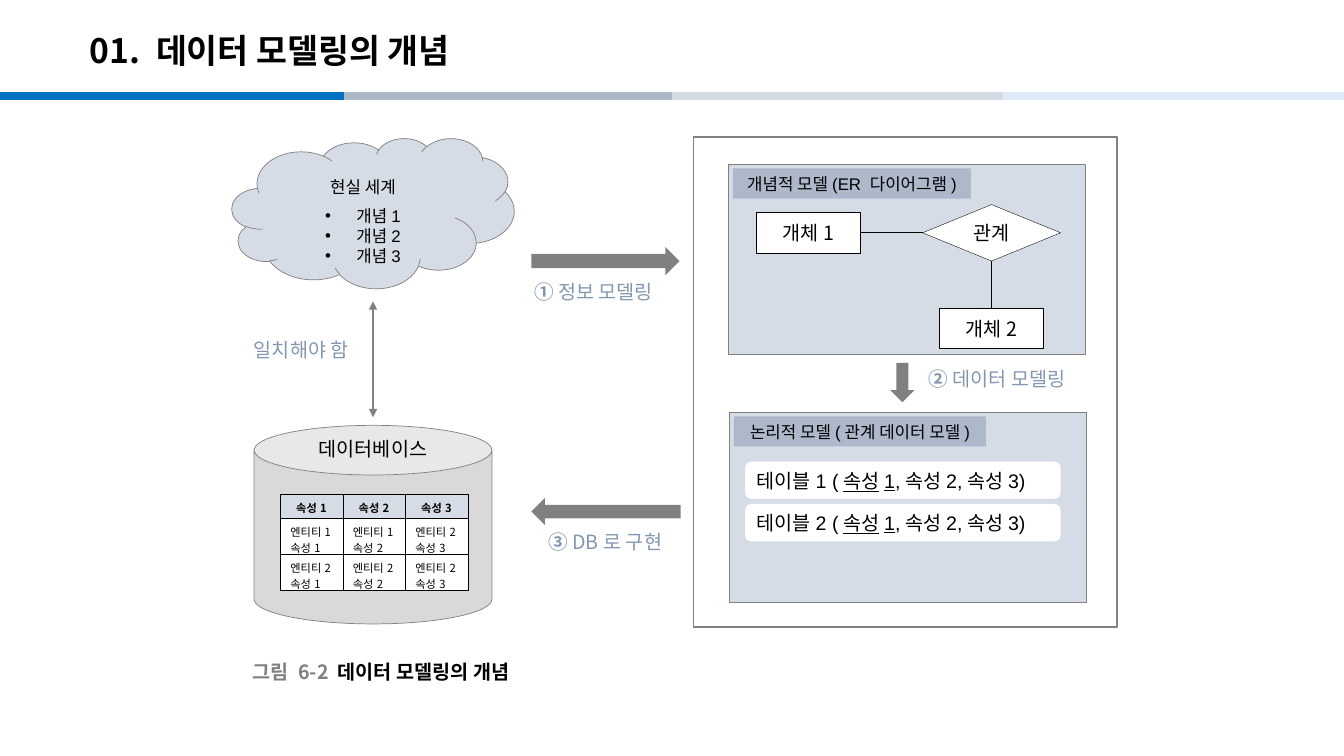
from collections import namedtuple

from lxml import etree
from pptx import Presentation
from pptx.dml.color import RGBColor
from pptx.enum.shapes import MSO_CONNECTOR as Link, MSO_SHAPE as Shape
from pptx.enum.text import MSO_ANCHOR as Anchor, MSO_AUTO_SIZE as Fit, PP_ALIGN as Align
from pptx.oxml import parse_xml
from pptx.oxml.ns import nsdecls, qn
from pptx.util import Inches, Pt

BLACK, WHITE = RGBColor(0, 0, 0), RGBColor(255, 255, 255)
GRAY, SILVER = RGBColor(0x80, 0x80, 0x80), RGBColor(0xD9, 0xD9, 0xD9)
BLUE, SLATE = RGBColor(0x00, 0x70, 0xC0), RGBColor(0x84, 0x97, 0xB0)
STEEL, MIST = RGBColor(0xAD, 0xB9, 0xCA), RGBColor(0xD6, 0xDC, 0xE5)
SKY = RGBColor(0xDE, 0xEB, 0xF7)
NOTO, ARIAL = "Noto Sans CJK KR", "Arial"

Box = namedtuple("Box", "left top width height")


def inside(box, left, top, width, height):
    """A box placed relative to the top left corner of another."""
    return Box(box.left + left, box.top + top, width, height)


def lengths(box):
    return [Inches(value) for value in box]


def add_span(para, text, color=BLACK, **formats):
    span = para.add_run()
    span.text = text
    values = {"name": NOTO, "size": Pt(14), "bold": False, **formats}
    for key, value in values.items():
        setattr(span.font, key, value)
    span.font.color.rgb = color
    east_asian = etree.SubElement(span.font._element, qn("a:ea"))
    east_asian.set("typeface", NOTO)


def write(frame, spans, align=Align.LEFT, **settings):
    """Fill a frame with one paragraph of (text, formats) spans."""
    for key, value in settings.items():
        setattr(frame, key, value)
    para = frame.paragraphs[0]
    para.alignment = align
    for text, formats in spans:
        add_span(para, text, **formats)


def add_label(page, box, spans, align=Align.LEFT, wrap=False, **settings):
    label = page.shapes.add_textbox(*lengths(box))
    values = {"word_wrap": wrap, "auto_size": Fit.SHAPE_TO_FIT_TEXT, **settings}
    write(label.text_frame, spans, align, **values)


def add_form(page, kind, box, fill, line=None, width=0.5):
    form = page.shapes.add_shape(kind, *lengths(box))
    form.shadow.inherit = False
    form.fill.solid()
    form.fill.fore_color.rgb = fill
    if line is None:
        form.line.fill.background()
    else:
        form.line.color.rgb = line
        form.line.width = Pt(width)
    return form


def add_line(page, start, end, color, width):
    line = page.shapes.add_connector(Link.STRAIGHT, *lengths(start + end))
    line.line.color.rgb = color
    line.line.width = Pt(width)
    etree.SubElement(line._element.spPr, qn("a:effectLst"))
    return line


def add_header(page, box):
    # Coloured rule
    for left, color in zip((0, 3.41, 6.67, 9.95), (BLUE, STEEL, MIST, SKY)):
        add_line(page, (left, box.height), (left + 3.41, box.height), color, 6)
    # Title
    title = page.shapes.title
    title.left, title.top, title.width, title.height = lengths(inside(box, 0.79, 0.22, 11.02, 0.6))
    write(title.text_frame, [("01. 데이터 모델링의 개념", {"size": Pt(24), "bold": True})],
          vertical_anchor=Anchor.MIDDLE)
    title.text_frame.paragraphs[0].line_spacing = 0.9


def add_real_world(page, box):
    cloud = add_form(page, Shape.CLOUD, box, MIST, GRAY)
    frame = cloud.text_frame
    small = {"name": ARIAL, "size": Pt(12)}
    write(frame, [("현실 세계", small)], Align.CENTER,
          vertical_anchor=Anchor.MIDDLE, margin_top=Inches(0.28))
    for number in (1, 2, 3):
        para = frame.add_paragraph()
        para.alignment = Align.CENTER
        para.space_before = Pt(6 if number == 1 else 0)
        properties = para._p.get_or_add_pPr()
        properties.set("marL", str(Inches(0.31)))
        properties.set("indent", str(-Inches(0.31)))
        etree.SubElement(properties, qn("a:buFont")).set("typeface", ARIAL)
        etree.SubElement(properties, qn("a:buChar")).set("char", "•")
        add_span(para, f"개념{number}", **small)


def fill_cell(cell, lines, fill, **formats):
    cell.fill.solid()
    cell.fill.fore_color.rgb = fill
    cell.margin_top, cell.margin_bottom = Inches(0.05), 0
    for index, text in enumerate(lines):
        para = cell.text_frame.paragraphs[0] if index == 0 else cell.text_frame.add_paragraph()
        para.alignment = Align.CENTER if formats.get("bold") else Align.LEFT
        add_span(para, text, size=Pt(8), **formats)
    # Borders come before the fill
    for index, side in enumerate(("lnL", "lnR", "lnT", "lnB")):
        cell._tc.get_or_add_tcPr().insert(index, parse_xml(
            f'<a:{side} {nsdecls("a")} w="{Pt(0.25)}"><a:solidFill>'
            f'<a:srgbClr val="{BLACK}"/></a:solidFill></a:{side}>'))


def add_database(page, box):
    add_form(page, Shape.CAN, box, SILVER, GRAY)
    add_label(page, inside(box, 0.49, 0.07, 1.38, 0.34), [("데이터베이스", {})], Align.CENTER)
    # Entity table
    table = page.shapes.add_table(3, 3, *lengths(inside(box, 0.26, 0.68, 1.86, 0.97))).table
    for column in table.columns:
        column.width = Inches(0.62)
    for row, height in zip(table.rows, (0.24, 0.36, 0.36)):
        row.height = Inches(height)
    entities = ((1, 1, 2), (2, 2, 2))
    for column in range(3):
        attribute = f"속성{column + 1}"
        fill_cell(table.cell(0, column), [attribute], MIST, bold=True)
        for row, numbers in enumerate(entities, 1):
            fill_cell(table.cell(row, column), [f"엔티티{numbers[column]}", attribute], WHITE)


def add_model_panel(page, box, heading, width):
    add_form(page, Shape.RECTANGLE, box, MIST, GRAY, 0.75)
    badge = add_form(page, Shape.RECTANGLE, inside(box, 0.04, 0.04, width, 0.3), STEEL)
    write(badge.text_frame, [(heading, {"name": ARIAL, "size": Pt(12)})], Align.CENTER,
          vertical_anchor=Anchor.MIDDLE, word_wrap=False)


def add_concept_model(page, box):
    add_model_panel(page, box, "개념적 모델(ER 다이어그램)", 2.36)
    nodes = []
    for kind, text, place in (
            (Shape.RECTANGLE, "개체1", (0.27, 0.48, 1.03, 0.4)),
            (Shape.FLOWCHART_DECISION, "관계", (1.92, 0.4, 1.37, 0.56)),
            (Shape.RECTANGLE, "개체2", (2.09, 1.43, 1.03, 0.4))):
        node = add_form(page, kind, inside(box, *place), WHITE, BLACK, 0.25)
        write(node.text_frame, [(text, {})], Align.CENTER,
              vertical_anchor=Anchor.MIDDLE, word_wrap=True)
        nodes.append(node)
    # Links from entity to relation to entity
    for start, start_side, end, end_side in ((0, 3, 1, 1), (1, 2, 2, 0)):
        link = add_line(page, (0, 0), (1, 1), BLACK, 0.5)
        link.begin_connect(nodes[start], start_side)
        link.end_connect(nodes[end], end_side)


def add_logical_model(page, box):
    add_model_panel(page, box, "논리적 모델(관계 데이터 모델)", 2.5)
    for index in range(2):
        row = add_form(page, Shape.ROUNDED_RECTANGLE,
                       inside(box, 0.15, 0.49 + 0.42 * index, 3.13, 0.37), WHITE)
        plain = {"name": ARIAL}
        write(row.text_frame, [(f"테이블{index + 1} (", plain),
                               ("속성1", {**plain, "underline": True}),
                               (",속성2,속성3)", plain)],
              vertical_anchor=Anchor.MIDDLE, word_wrap=True)


def add_step(page, kind, arrow_box, label_box, number, text, rotation=0):
    arrow = add_form(page, kind, arrow_box, GRAY)
    arrow.rotation = rotation
    add_label(page, label_box, [(f"{number} ", {"color": SLATE, "bold": True}),
                                (text, {"color": SLATE})])


def add_match_arrow(page, box):
    add_label(page, inside(box, 0, 0.31, 1.25, 0.34), [("일치해야 함", {"color": SLATE})])
    foot = box.left + box.width
    line = add_line(page, (foot, box.top), (foot, box.top + box.height), GRAY, 1.5)
    outline = line.line._get_or_add_ln()
    for end in ("headEnd", "tailEnd"):
        etree.SubElement(outline, qn(f"a:{end}")).set("type", "triangle")


def main():
    deck = Presentation()
    deck.slide_width, deck.slide_height = Inches(13.33), Inches(7.5)
    page = deck.slides.add_slide(deck.slide_layouts[5])
    add_header(page, Box(0, 0, 13.33, 0.95))
    # Models on the right
    models = Box(6.88, 1.36, 4.2, 4.86)
    add_form(page, Shape.RECTANGLE, models, WHITE, GRAY, 1)
    add_concept_model(page, inside(models, 0.35, 0.27, 3.54, 1.89))
    add_logical_model(page, inside(models, 0.36, 2.73, 3.54, 1.89))
    # World and database on the left
    add_real_world(page, Box(2.3, 1.37, 2.8, 1.49))
    add_database(page, Box(2.52, 4.22, 2.36, 1.97))
    add_match_arrow(page, Box(2.42, 2.99, 1.28, 1.15))
    # Numbered steps
    add_step(page, Shape.RIGHT_ARROW, Box(5.27, 2.45, 1.47, 0.28),
             Box(5.2, 2.73, 1.51, 0.34), "①", "정보 모델링")
    add_step(page, Shape.DOWN_ARROW, Box(8.83, 3.6, 0.24, 0.39),
             Box(9.11, 3.59, 1.7, 0.34), "②", "데이터 모델링")
    add_step(page, Shape.RIGHT_ARROW, Box(5.27, 4.94, 1.48, 0.27),
             Box(5.34, 5.21, 1.34, 0.34), "③", "DB로 구현", 180)
    # Caption
    add_label(page, Box(2.41, 6.51, 2.78, 0.31),
              [("그림 6-2 ", {"color": GRAY, "bold": True}),
               ("데이터 모델링의 개념", {"bold": True})],
              vertical_anchor=Anchor.MIDDLE, auto_size=Fit.NONE, wrap=True)
    deck.save("out.pptx")


if __name__ == "__main__":
    main()
